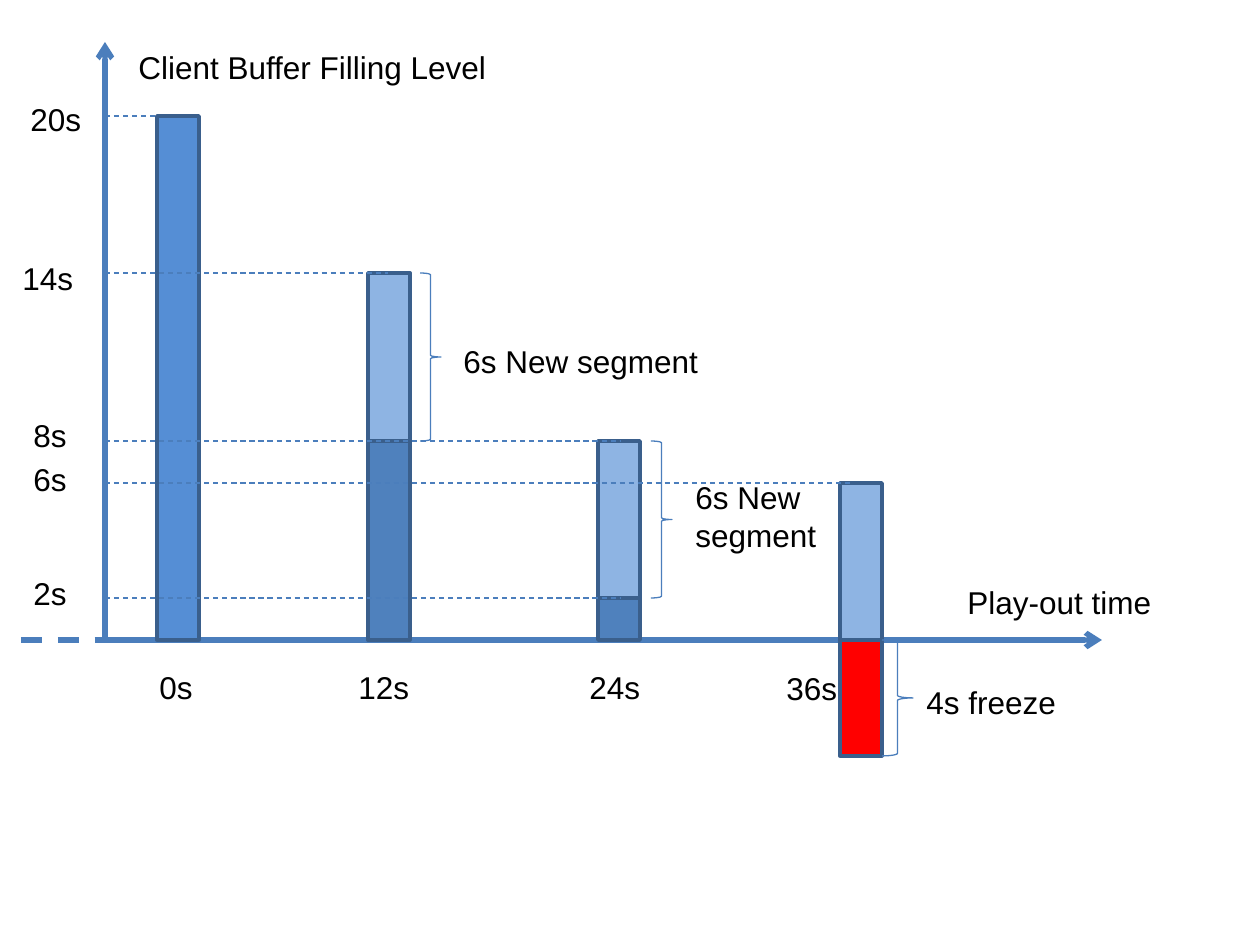
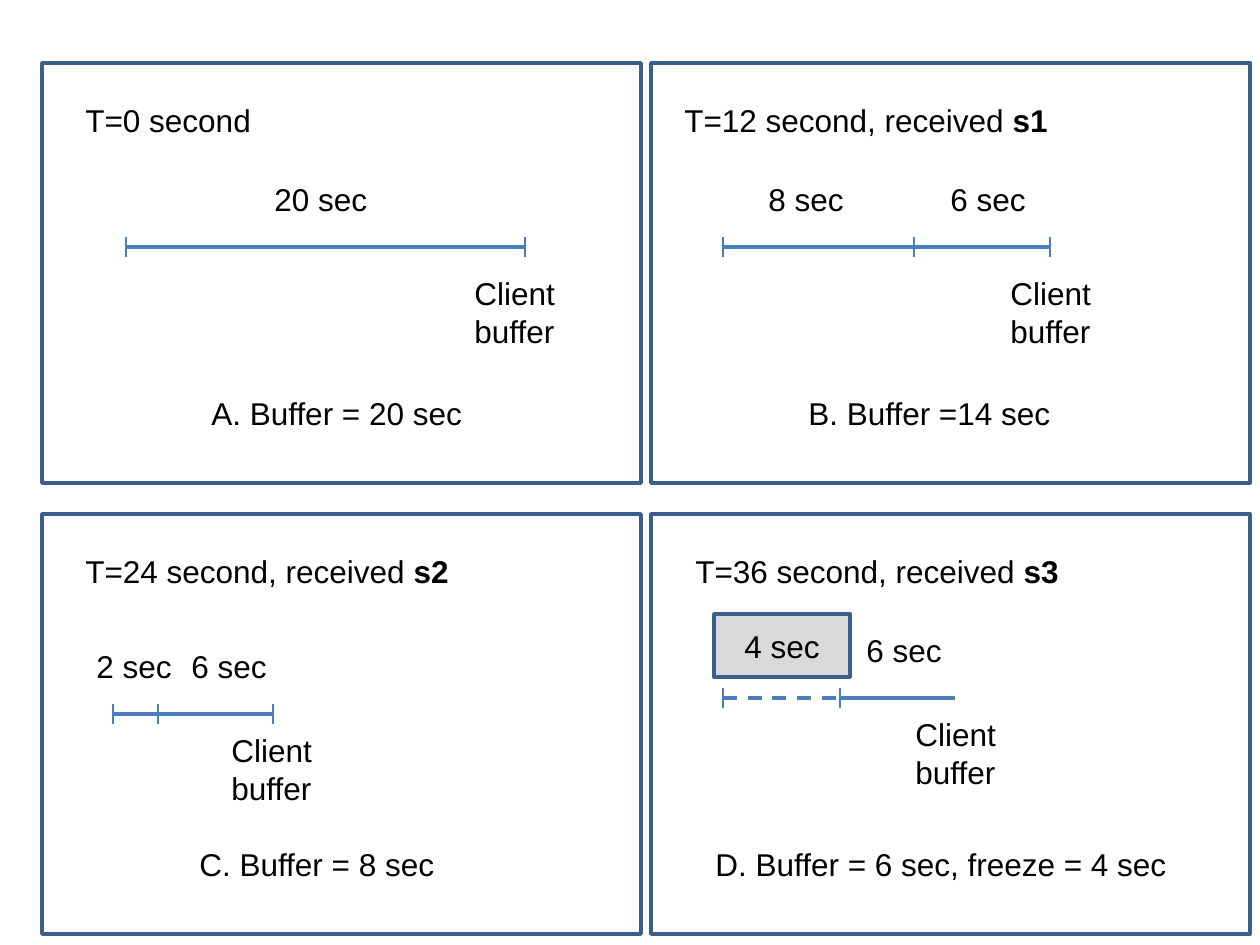
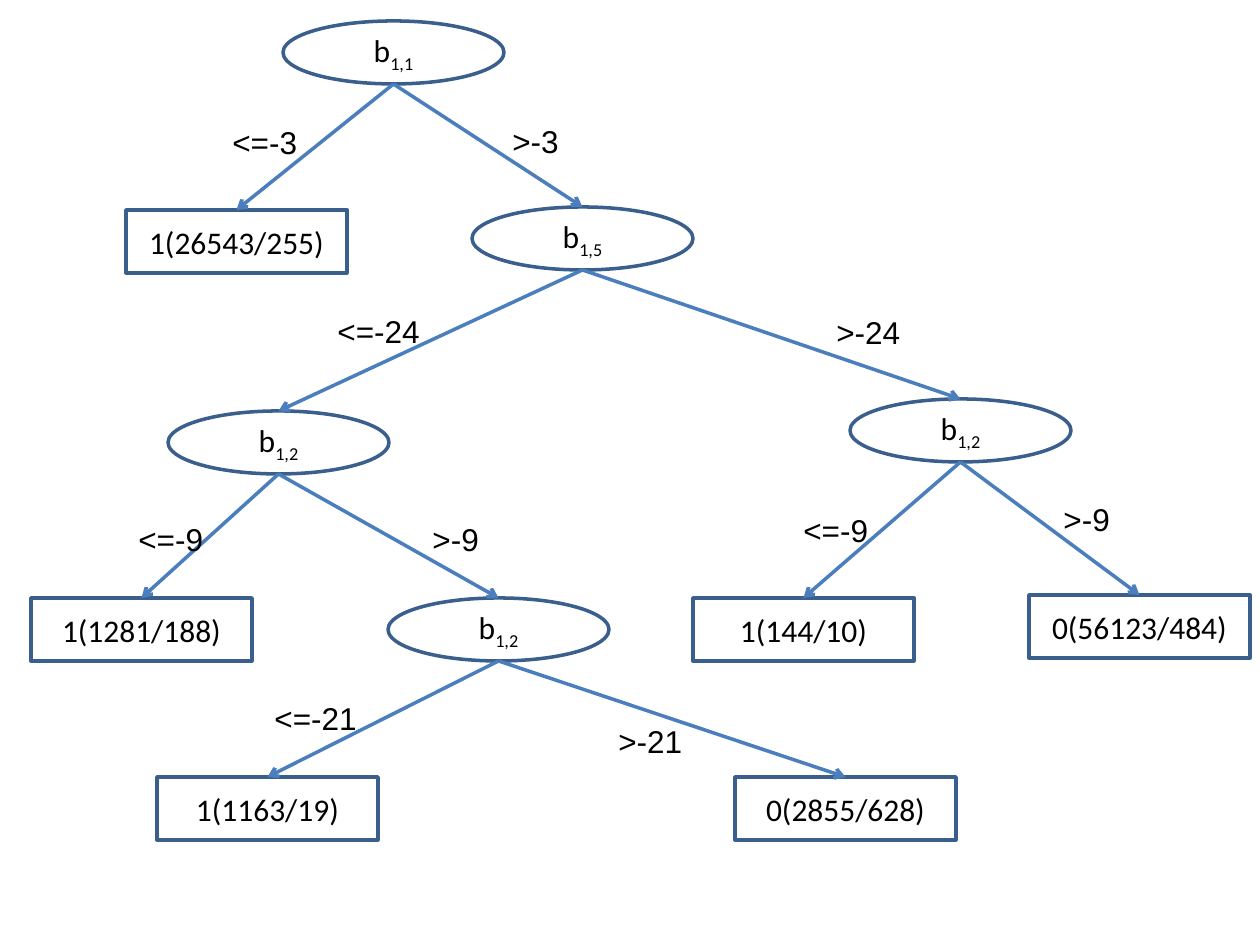
from dataclasses import dataclass
from lxml import etree
from pptx import Presentation
from pptx.dml.color import RGBColor
from pptx.enum.dml import MSO_LINE
from pptx.enum.shapes import MSO_CONNECTOR, MSO_SHAPE
from pptx.enum.text import MSO_ANCHOR, MSO_AUTO_SIZE, PP_ALIGN
from pptx.oxml.ns import qn
from pptx.util import Pt

RECT, OVAL, BRACE = MSO_SHAPE.RECTANGLE, MSO_SHAPE.OVAL, MSO_SHAPE.RIGHT_BRACE
STRAIGHT, DASH = MSO_CONNECTOR.STRAIGHT, MSO_LINE.DASH
CENTER, MIDDLE, GROW = PP_ALIGN.CENTER, MSO_ANCHOR.MIDDLE, MSO_AUTO_SIZE.SHAPE_TO_FIT_TEXT
PX = 914400 / 126


@dataclass(frozen=True)
class Theme:
    ink: str = "000000"
    line: str = "4B7EBC"
    outline: str = "3A5F8C"
    full: str = "558ED5"
    kept: str = "4F81BD"
    new: str = "8EB4E3"
    freeze: str = "FF0000"
    grey: str = "D9D9D9"
    label_font: str = "Arial"
    node_font: str = "Calibri"
    size: int = 18
    thin: float = 0.75
    medium: float = 2
    thick: float = 3


T = Theme()

AXIS_X, BASE_Y, BAR_W = 105, 640, 42
LEVEL_Y = {20: 116, 14: 273, 8: 441, 6: 483, 2: 598, 0: BASE_Y, -4: 756}
BARS = [
    (157, 20, 0, T.full),
    (368, 8, 0, T.kept),
    (598, 2, 0, T.kept),
    (840, 0, -4, T.freeze),
    (368, 14, 8, T.new),
    (598, 8, 2, T.new),
    (840, 6, 0, T.new),
]
GUIDES = [(20, 157), (14, 388), (8, 620), (6, 850), (2, 620)]
BRACES = [(420, 21, 14, 8), (651, 21, 8, 2), (882, 31, 0, -4)]
CHART_LABELS = [
    ("Play-out time", 955, 577, 212),
    ("Client Buffer Filling Level", 126, 42, 377),
    ("20s", 18, 94, 77),
    ("14s", 10, 253, 77),
    ("8s", 21, 410, 59),
    ("6s", 21, 454, 59),
    ("2s", 21, 568, 59),
    ("0s", 147, 662, 59),
    ("12s", 346, 662, 77),
    ("24s", 577, 662, 77),
    ("36s", 774, 663, 77),
    ("6s New segment", 451, 336, 262),
    ("6s New \nsegment", 683, 472, 147),
    ("4s freeze", 914, 677, 156),
]

PANEL_X, PANEL_Y, PANEL_W, PANEL_H = (42, 651), (63, 514), 599, 420
HEADING_DY, CAPTION_DY, SEGMENT_DY, TICK = 32, 325, -73, 10
BUFFER_DY = (21, 11)
PANELS = [
    dict(heading=("T=0 second", "", 73, 193), axis=184,
         lines=[(126, 525, None)], ticks=[126, 525],
         segments=[("20 sec", 262, 118)], buffer=462,
         caption=("A. Buffer = 20 sec", 199, 278)),
    dict(heading=("T=12 second, received ", "s1", 672, 391), axis=184,
         lines=[(723, 1050, None)], ticks=[723, 914, 1050],
         segments=[("8 sec", 756, 102), ("6 sec", 938, 102)], buffer=998,
         caption=("B. Buffer =14 sec", 796, 270)),
    dict(heading=("T=24 second, received ", "s2", 73, 391), axis=200,
         lines=[(113, 273, None)], ticks=[113, 158, 273],
         segments=[("2 sec", 84, 102), ("6 sec", 179, 102)], buffer=219,
         caption=("C. Buffer = 8 sec", 187, 262)),
    dict(heading=("T=36 second, received ", "s3", 683, 391), axis=184,
         lines=[(723, 840, DASH), (840, 955, None)], ticks=[723, 840],
         segments=[("6 sec", 854, 102)], buffer=903,
         caption=("D. Buffer = 6 sec, freeze = 4 sec", 703, 499)),
]
FREEZE_BOX = ("4 sec", 714, 614, 136, 63)

NODE_W, NODE_H = 221, 63
SPLITS = {
    "root": ("1,1", 283, 21),
    "right": ("1,5", 472, 207),
    "far": ("1,2", 850, 399),
    "near": ("1,2", 168, 411),
    "low": ("1,2", 388, 598),
}
LEAVES = {
    "root yes": ("1(26543/255)", 126, 210),
    "far no": ("0(56123/484)", 1029, 595),
    "low yes": ("1(1163/19)", 157, 777),
    "low no": ("0(2855/628)", 735, 777),
    "far yes": ("1(144/10)", 693, 598),
    "near yes": ("1(1281/188)", 31, 598),
}
BRANCHES = [
    ("root", "root yes", "<=-3", 220, 117, 91),
    ("root", "right", ">-3", 500, 116, 72),
    ("right", "near", "<=-24", 325, 306, 108),
    ("right", "far", ">-24", 824, 307, 89),
    ("far", "far yes", "<=-9", 791, 505, 91),
    ("far", "far no", ">-9", 1051, 494, 72),
    ("near", "near yes", "<=-9", 126, 514, 91),
    ("near", "low", ">-9", 420, 514, 72),
    ("low", "low yes", "<=-21", 262, 693, 108),
    ("low", "low no", ">-21", 606, 716, 89),
]


def emu(*lengths):
    return [round(v * PX) for v in lengths]


def rgb(color):
    return RGBColor.from_string(color)


def style_text(tf, font):
    for p in tf.paragraphs:
        p.font.name = font
        p.font.size = Pt(T.size)
        p.font.color.rgb = rgb(T.ink)


def label(s, text, x, y, w, bold=""):
    box = s.shapes.add_textbox(*emu(x, y, w, 50 + 39 * text.count("\n")))
    tf = box.text_frame
    tf.text = text
    if bold:
        r = tf.paragraphs[0].add_run()
        r.text = bold
        r.font.bold = True
    tf.word_wrap = False
    tf.auto_size = GROW
    style_text(tf, T.label_font)


def line(s, x1, y1, x2, y2, width, dash=None, arrow=False):
    c = s.shapes.add_connector(STRAIGHT, *emu(x1, y1, x2, y2))
    c.line.color.rgb = rgb(T.line)
    c.line.width = Pt(width)
    if dash:
        c.line.dash_style = dash
    if arrow:
        etree.SubElement(c.line._get_or_add_ln(), qn("a:tailEnd")).set("type", "arrow")
    etree.SubElement(c._element.spPr, qn("a:effectLst"))


def shape(s, kind, x, y, w, h, fill=None, color=T.outline, width=T.medium):
    sp = s.shapes.add_shape(kind, *emu(x, y, w, h))
    sp.shadow.inherit = False
    if fill:
        sp.fill.solid()
        sp.fill.fore_color.rgb = rgb(fill)
    else:
        sp.fill.background()
    sp.line.color.rgb = rgb(color)
    sp.line.width = Pt(width)
    return sp


def caption(sp, text, font, subscript=""):
    tf = sp.text_frame
    tf.vertical_anchor = MIDDLE
    p = tf.paragraphs[0]
    p.alignment = CENTER
    p.add_run().text = text
    if subscript:
        r = p.add_run()
        r.text = subscript
        r.font._element.set("baseline", "-25000")
    style_text(tf, font)


def buffer_chart(s):
    line(s, AXIS_X, BASE_Y, 1102, BASE_Y, T.thick, arrow=True)
    for x, top, bottom, fill in BARS:
        shape(s, RECT, x, LEVEL_Y[top], BAR_W, LEVEL_Y[bottom] - LEVEL_Y[top], fill)
    line(s, AXIS_X, BASE_Y, AXIS_X, 42, T.thick, arrow=True)
    for level, end in GUIDES:
        line(s, AXIS_X, LEVEL_Y[level], end, LEVEL_Y[level], T.thin, DASH)
    for x, w, top, bottom in BRACES:
        shape(s, BRACE, x, LEVEL_Y[top], w, LEVEL_Y[bottom] - LEVEL_Y[top],
              color=T.line, width=T.thin)
    for item in CHART_LABELS:
        label(s, *item)
    line(s, 21, BASE_Y, 116, BASE_Y, T.thick, DASH)


def buffer_panels(s):
    for i, panel in enumerate(PANELS):
        row, col = divmod(i, 2)
        top = PANEL_Y[row]
        y = top + panel["axis"]
        shape(s, RECT, PANEL_X[col], top, PANEL_W, PANEL_H)
        for x1, x2, dash in panel["lines"]:
            line(s, x1, y, x2, y, T.medium, dash)
        for x in panel["ticks"]:
            line(s, x, y - TICK, x, y + TICK, T.thin)
        for text, x, w in panel["segments"]:
            label(s, text, x, y + SEGMENT_DY, w)
        label(s, "Client\nbuffer", panel["buffer"], y + BUFFER_DY[row], 107)
        text, x, w = panel["caption"]
        label(s, text, x, top + CAPTION_DY, w)
        text, bold, x, w = panel["heading"]
        label(s, text, x, top + HEADING_DY, w, bold)
    text, *frame = FREEZE_BOX
    caption(shape(s, RECT, *frame, T.grey), text, T.label_font)


def decision_tree(s):
    for index, x, y in SPLITS.values():
        caption(shape(s, OVAL, x, y, NODE_W, NODE_H), "b", T.node_font, index)
    for text, x, y in LEAVES.values():
        caption(shape(s, RECT, x, y, NODE_W, NODE_H), text, T.node_font)
    nodes = {**SPLITS, **LEAVES}
    for parent, child, text, x, y, w in BRANCHES:
        _, x1, y1 = nodes[parent]
        _, x2, y2 = nodes[child]
        line(s, x1 + NODE_W / 2, y1 + NODE_H, x2 + NODE_W / 2, y2, T.medium, arrow=True)
        label(s, text, x, y, w)


prs = Presentation()
prs.slide_width, prs.slide_height = emu(1260, 945)
for build in (buffer_chart, buffer_panels, decision_tree):
    build(prs.slides.add_slide(prs.slide_layouts[6]))
prs.save("out.pptx")
